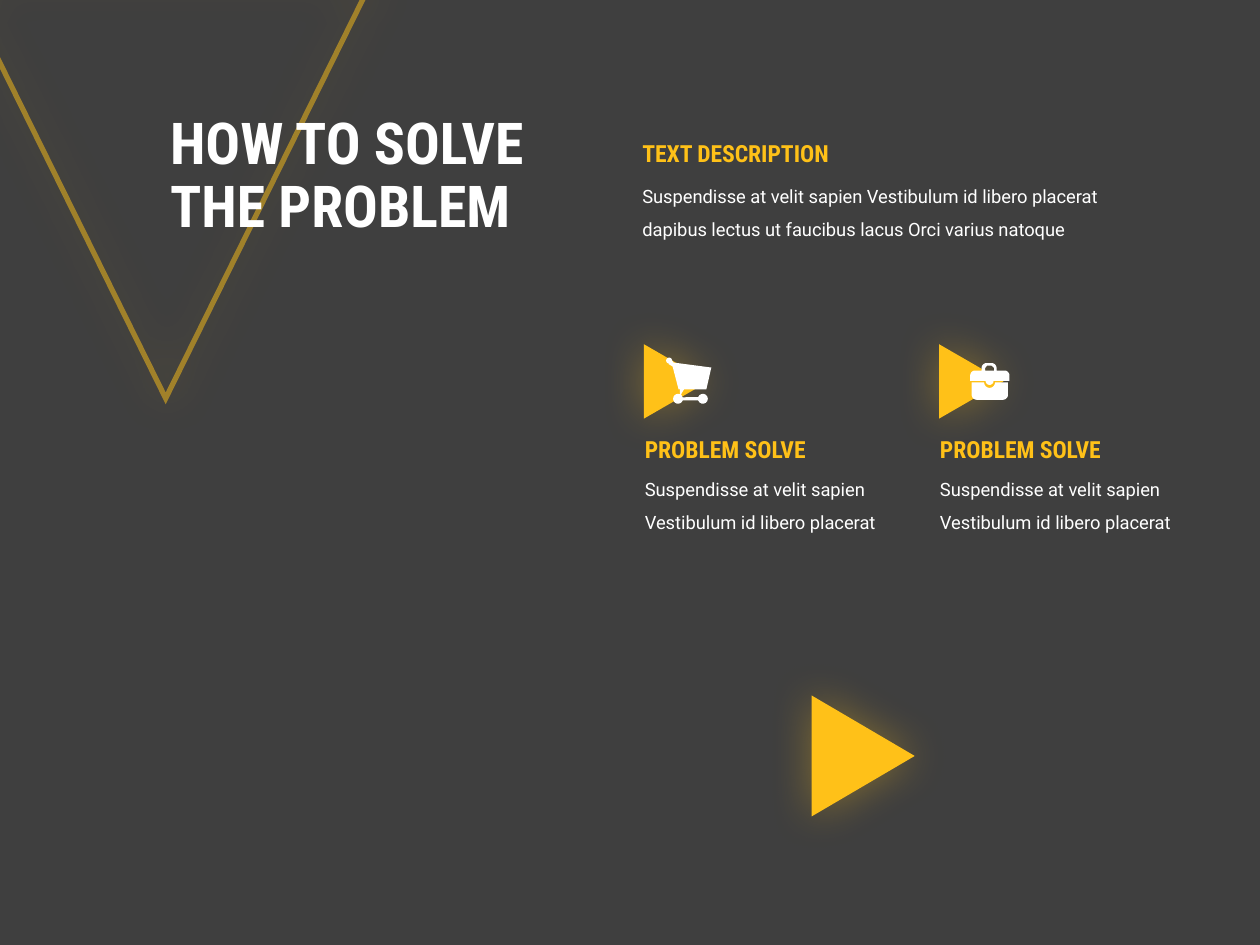
"""Build the "How to solve the problem" slide."""
from dataclasses import dataclass
from math import cos, radians, sin

from lxml.etree import SubElement
from pptx import Presentation
from pptx.dml.color import RGBColor as RGB
from pptx.enum.shapes import MSO_SHAPE as SHAPE
from pptx.enum.text import MSO_ANCHOR as ANCHOR, MSO_AUTO_SIZE as AUTO
from pptx.oxml.ns import qn
from pptx.util import Cm, Pt


@dataclass(frozen=True)
class Theme:
    """Colours, fonts and type sizes."""
    back: RGB = RGB(0x3F, 0x3F, 0x3F)
    accent: RGB = RGB(0xFF, 0xC1, 0x18)
    light: RGB = RGB(0xFF, 0xFF, 0xFF)
    display: str = "Roboto Condensed"
    text: str = "Roboto"
    title_size: float = 33
    head_size: float = 13.5
    body_size: float = 10.5


THEME = Theme()


def add_text(s, box, text, size, font, color, bold=False, spacing=1.0):
    """Add a one-paragraph text box and return its text frame."""
    tf = s.shapes.add_textbox(*map(Cm, box)).text_frame
    tf.word_wrap = True
    tf.text = text
    p = tf.paragraphs[0]
    p.line_spacing = spacing
    for r in p.runs:
        r.font.size, r.font.name, r.font.bold = Pt(size), font, bold
        r.font.color.rgb = color
    return tf


def add_title(s, box, text):
    """Add the slide title, centred vertically."""
    tf = add_text(s, box, text, THEME.title_size, THEME.display, THEME.light, True, 0.9)
    tf.vertical_anchor = ANCHOR.MIDDLE


def add_description(s, x, y, width, head, head_width, body, body_y):
    """Add body text with its accent heading."""
    tf = add_text(s, (x, body_y, width, 1.52), body, THEME.body_size, THEME.text,
                  THEME.light, spacing=1.5)
    tf.auto_size = AUTO.SHAPE_TO_FIT_TEXT
    tf = add_text(s, (x, y, head_width, 0.84), head, THEME.head_size, THEME.display,
                  THEME.accent, True)
    tf.auto_size = AUTO.SHAPE_TO_FIT_TEXT


def add_alpha(parent, percent):
    """Set the opacity of a colour element."""
    SubElement(parent, qn("a:alpha"), val=str(percent * 1000))


def add_triangle(s, box, rotation, outlined=False):
    """Add a glowing triangle, filled or outlined."""
    sp = s.shapes.add_shape(SHAPE.ISOSCELES_TRIANGLE, *map(Cm, box))
    sp.rotation = rotation
    if outlined:
        sp.fill.background()
        sp.line.color.rgb = THEME.accent
        sp.line.width = Pt(3)
        ln = sp.line._get_or_add_ln()
        add_alpha(ln.find(".//" + qn("a:srgbClr")), 50)
        SubElement(ln, qn("a:miter"), lim="800000")
    else:
        sp.fill.solid()
        sp.fill.fore_color.rgb = THEME.accent
        sp.line.fill.background()
    sp.shadow.inherit = False
    effects = sp._element.spPr.find(qn("a:effectLst"))
    glow = SubElement(effects, qn("a:outerShdw"), blurRad=str(Pt(25)), dist="0",
                      dir="0", algn="ctr", rotWithShape="0")
    add_alpha(SubElement(glow, qn("a:srgbClr"), val=str(THEME.accent)), 35)


def arc(cx, cy, radius, start, end, steps=12):
    """Return points along a circular arc, angles in degrees."""
    angles = [radians(start + (end - start) * i / steps) for i in range(steps + 1)]
    return [(cx + radius * cos(a), cy + radius * sin(a)) for a in angles]


def add_outline(shapes, x, y, *contours):
    """Add a white freeform made of closed contours placed from x, y."""
    placed = [[(Cm(x + px), Cm(y + py)) for px, py in c] for c in contours]
    builder = shapes.build_freeform(*placed[0][0])
    builder.add_line_segments(placed[0][1:])
    for contour in placed[1:]:
        builder.move_to(*contour[0])
        builder.add_line_segments(contour[1:])
    sp = builder.convert_to_shape()
    sp.fill.solid()
    sp.fill.fore_color.rgb = THEME.light
    sp.line.fill.background()
    sp.shadow.inherit = False


def add_cart(s, x, y):
    """Add the shopping cart icon."""
    add_outline(s.shapes, x, y, [
        *arc(0.74, 0.83, 0.1, 200, 520), *arc(0.24, 0.83, 0.1, 20, 290),
        (0.28, 0.64), (0.25, 0.64), (0.13, 0.18), (0.05, 0.13),
        *arc(0.06, 0.06, 0.06, 90, 360), (0.15, 0.1), (0.91, 0.2),
        (0.81, 0.64), (0.36, 0.64), (0.3, 0.74), (0.33, 0.8)])


def add_briefcase(s, x, y):
    """Add the briefcase icon as a group of base and lid."""
    shapes = s.shapes.add_group_shape().shapes
    base = [(0.03, 0.39), *arc(0.39, 0.39, 0.11, 180, 0), (0.76, 0.39),
            *arc(0.66, 0.64, 0.1, 0, 90), *arc(0.13, 0.64, 0.1, 90, 180)]
    lid = [(0, 0.36), *arc(0.1, 0.25, 0.1, 180, 270), (0.23, 0.15),
           *arc(0.33, 0.1, 0.1, 180, 270), *arc(0.43, 0.1, 0.1, 270, 360),
           (0.53, 0.15), *arc(0.69, 0.25, 0.1, 270, 360), (0.79, 0.36),
           *arc(0.39, 0.36, 0.08, 0, 180)]
    handle = [(0.3, 0.15), (0.3, 0.1), (0.34, 0.05), (0.43, 0.05), (0.48, 0.1), (0.48, 0.15)]
    add_outline(shapes, x, y, base)
    add_outline(shapes, x, y, lid, handle)


def main():
    """Build and save the slide."""
    prs = Presentation()
    prs.slide_width, prs.slide_height = Cm(25.4), Cm(19.05)
    s = prs.slides.add_slide(prs.slide_layouts[6])
    s.background.fill.solid()
    s.background.fill.fore_color.rgb = THEME.back

    add_triangle(s, (-0.84, -0.43, 8.36, 8.46), 180, outlined=True)
    add_title(s, (3.18, 1.57, 10.72, 4.01), "HOW TO SOLVE\vTHE PROBLEM")
    add_description(s, 12.7, 2.67, 9.78, "TEXT DESCRIPTION", 4.67,
                    "Suspendisse at velit sapien Vestibulum id libero placerat "
                    "dapibus lectus ut faucibus lacus Orci varius natoque", 3.38)
    for x in (12.75, 18.7):
        add_triangle(s, (x + 0.13, 7.04, 1.5, 1.3), 90)
        add_description(s, x, 8.64, 5.26, "PROBLEM SOLVE", 4.22,
                        "Suspendisse at velit sapien Vestibulum id libero placerat", 9.3)
    add_briefcase(s, 19.56, 7.32)
    add_cart(s, 13.43, 7.21)
    add_triangle(s, (16.18, 14.2, 2.44, 2.08), 90)
    prs.save("out.pptx")


if __name__ == "__main__":
    main()
